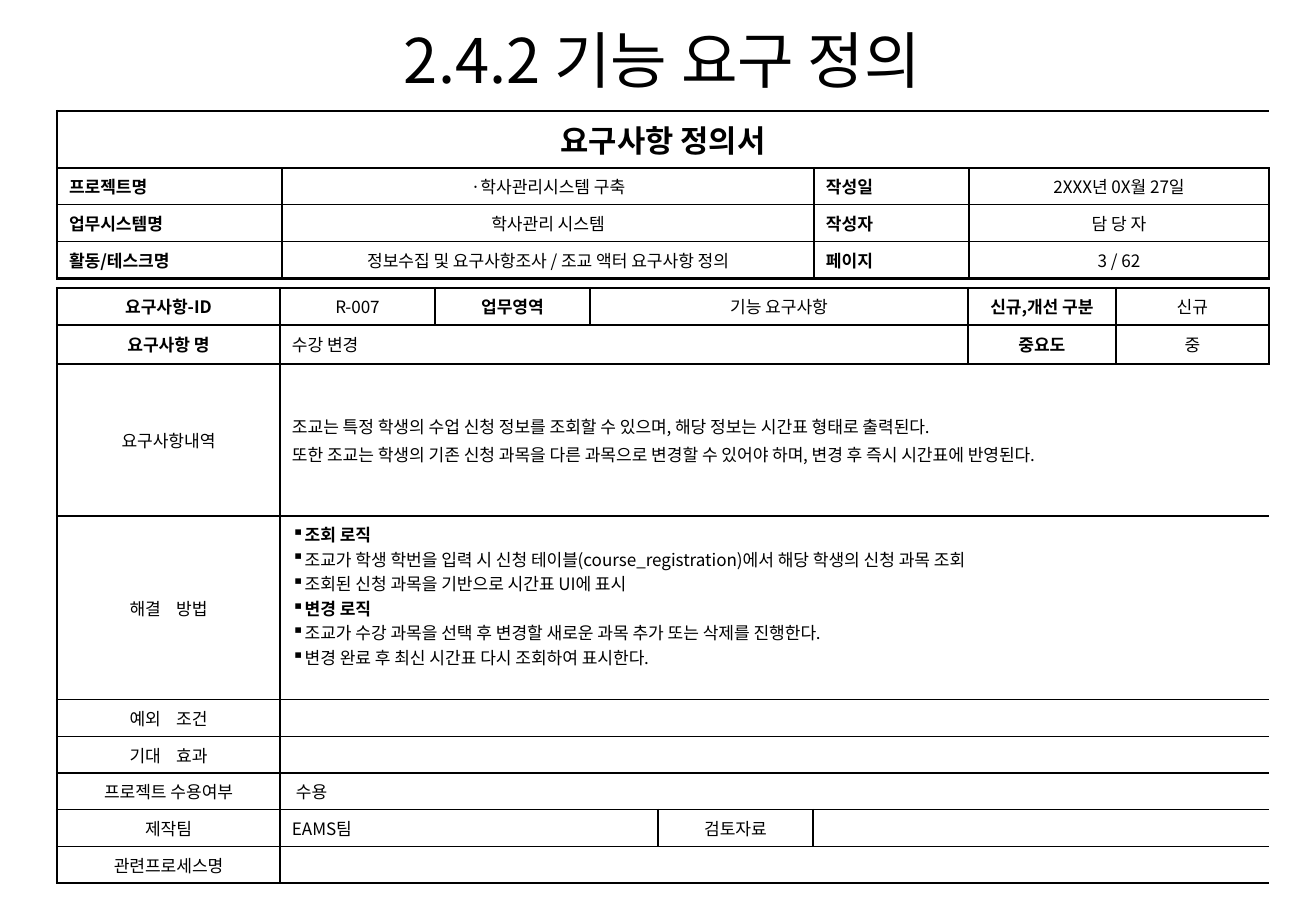
from dataclasses import dataclass

from lxml.etree import SubElement
from pptx import Presentation
from pptx.dml.color import RGBColor
from pptx.enum.text import MSO_ANCHOR, MSO_AUTO_SIZE, PP_ALIGN
from pptx.oxml.ns import qn
from pptx.util import Emu, Pt

EMU_PER_PX = 7440
FONT = "Noto Sans CJK KR"
BLACK = RGBColor(0x00, 0x00, 0x00)
NO_STYLE_NO_GRID = "{2D5ABB26-0587-4C30-8999-92F81FD0307C}"
THIN, THICK = 1, 1.5
CENTER, LEFT, JUSTIFY = PP_ALIGN.CENTER, PP_ALIGN.LEFT, PP_ALIGN.JUSTIFY


@dataclass(frozen=True)
class Entry:
    lines: tuple = ()
    span: int = 1
    align: PP_ALIGN = CENTER
    bold_lines: tuple = ()
    size: int = 10
    bullet: str = ""
    space_before: float = 0
    word_gap: float = 0
    margin_left: int = 12
    margin_bottom: int = 6


@dataclass(frozen=True)
class Form:
    left: int
    top: int
    columns: tuple
    rows: tuple
    thick_edges: tuple
    entries: tuple


def px(length: int) -> Emu:
    return Emu(length * EMU_PER_PX)


def label(text: str, align=CENTER, size=10) -> Entry:
    return Entry((text,), align=align, bold_lines=(0,), size=size)


def value(text: str, span=1, align=CENTER, **options) -> Entry:
    return Entry((text,), span=span, align=align, **options)


def write_text(paragraph, text: str, *, size=10, bold=False, align=CENTER,
               bullet="", space_before=0, line_spacing=None, word_gap=0):
    paragraph.alignment = align
    paragraph.space_before = Pt(space_before)
    if line_spacing:
        paragraph.line_spacing = line_spacing
    if bullet:
        properties = paragraph._p.get_or_add_pPr()
        properties.set("marL", "0")
        properties.set("indent", "0")
        SubElement(properties, qn("a:buChar")).set("char", bullet)
    # A word gap widens the space between two words
    for part in text.partition(" ") if word_gap else (text,):
        run = paragraph.add_run()
        run.text = part
        run.font.size = Pt(size)
        run.font.bold = bold
        run.font.color.rgb = BLACK
        run.font.name = FONT
        properties = run._r.get_or_add_rPr()
        SubElement(properties, qn("a:ea")).set("typeface", FONT)
        if part == " ":
            properties.set("spc", str(int(word_gap * 100)))


def set_border(cell, side: str, width: float):
    line = SubElement(cell._tc.get_or_add_tcPr(), qn(f"a:ln{side}"),
                      w=str(Pt(width)))
    fill = SubElement(line, qn("a:solidFill"))
    SubElement(fill, qn("a:srgbClr")).set("val", str(BLACK))


def fill_cell(cell, entry: Entry):
    cell.vertical_anchor = MSO_ANCHOR.MIDDLE
    cell.margin_left, cell.margin_right = px(entry.margin_left), px(12)
    cell.margin_top, cell.margin_bottom = px(6), px(entry.margin_bottom)
    frame = cell.text_frame
    for index, text in enumerate(entry.lines):
        paragraph = frame.add_paragraph() if index else frame.paragraphs[0]
        write_text(paragraph, text, size=entry.size, align=entry.align,
                   bold=index in entry.bold_lines, bullet=entry.bullet,
                   space_before=entry.space_before if index else 0,
                   word_gap=entry.word_gap)
    if not entry.lines:
        SubElement(frame.paragraphs[0]._p, qn("a:endParaRPr"), sz="1000")


def draw_form(slide, form: Form):
    frame = slide.shapes.add_table(
        len(form.rows), len(form.columns), px(form.left), px(form.top),
        px(sum(form.columns)), px(sum(form.rows)))
    table = frame.table
    table.first_row = table.horz_banding = False
    table._tbl.tblPr.find(qn("a:tableStyleId")).text = NO_STYLE_NO_GRID
    for column, width in zip(table.columns, form.columns):
        column.width = px(width)
    for row, height in zip(table.rows, form.rows):
        row.height = px(height)

    for row, entries in enumerate(form.entries):
        top, bottom = (THICK if edge in form.thick_edges else THIN
                       for edge in (row, row + 1))
        start = 0
        for entry in entries:
            end = start + entry.span
            for column in range(start, end):
                cell = table.cell(row, column)
                if column == start:
                    set_border(cell, "L", THIN if start else THICK)
                if column == end - 1:
                    last = end == len(form.columns)
                    set_border(cell, "R", THICK if last else THIN)
                set_border(cell, "T", top)
                set_border(cell, "B", bottom)
                cell.fill.background()
            origin = table.cell(row, start)
            if entry.span > 1:
                origin.merge(table.cell(row, end - 1))
            fill_cell(origin, entry)
            start = end


PROJECT_FORM = Form(
    57, 111, (225, 532, 155, 300), (57, 36, 37, 37), (0, 4),
    (
        (Entry(("요구사항 정의서",), span=4, bold_lines=(0,), size=18),),
        (label("프로젝트명", JUSTIFY), value("·학사관리시스템 구축"),
         label("작성일", JUSTIFY), value("2XXX년 0X월 27일")),
        (label("업무시스템명", JUSTIFY), value("학사관리 시스템"),
         label("작성자", JUSTIFY), value("담 당 자")),
        (label("활동/테스크명", JUSTIFY),
         value("정보수집 및 요구사항조사 / 조교 액터 요구사항 정의"),
         label("페이지", JUSTIFY), value("3 / 62")),
    ))

REQUIREMENT_FORM = Form(
    57, 288, (223, 155, 155, 68, 155, 155, 148, 153),
    (37, 39, 152, 183, 37, 36, 36, 36, 37), (0, 1, 2, 9),
    (
        (label("요구사항-ID"), value("R-007"), label("업무영역"),
         value("기능 요구사항", 3), label("신규,개선 구분"), value("신규")),
        (label("요구사항 명"), value("수강 변경", 5, LEFT),
         label("중요도"), value("중")),
        (value("요구사항내역"), Entry((
            "조교는 특정 학생의 수업 신청 정보를 조회할 수 있으며, "
            "해당 정보는 시간표 형태로 출력된다.",
            "또한 조교는 학생의 기존 신청 과목을 다른 과목으로 변경할 수 있어야 하며, "
            "변경 후 즉시 시간표에 반영된다.",
        ), span=7, align=LEFT, space_before=2)),
        (value("해결 방법", word_gap=6.7), Entry((
            "조회 로직",
            "조교가 학생 학번을 입력 시 신청 테이블(course_registration)에서 "
            "해당 학생의 신청 과목 조회",
            "조회된 신청 과목을 기반으로 시간표 UI에 표시",
            "변경 로직",
            "조교가 수강 과목을 선택 후 변경할 새로운 과목 추가 또는 삭제를 진행한다.",
            "변경 완료 후 최신 시간표 다시 조회하여 표시한다.",
        ), span=7, align=LEFT, bold_lines=(0, 3), bullet="▪",
            margin_bottom=30)),
        (value("예외 조건", word_gap=6.7), Entry(span=7)),
        (value("기대 효과", word_gap=6.7), Entry(span=7)),
        (value("프로젝트 수용여부"), value("수용", 7, LEFT, margin_left=16)),
        (value("제작팀"), value("EAMS팀", 3, LEFT),
         value("검토자료"), Entry(span=3)),
        (value("관련프로세스명"), Entry(span=7)),
    ))


def main():
    presentation = Presentation()
    presentation.slide_width, presentation.slide_height = px(1316), px(922)
    slide = presentation.slides.add_slide(presentation.slide_layouts[5])

    # Title
    title = slide.shapes.title
    title.left, title.top = px(225), px(9)
    title.width, title.height = px(875), px(177)
    frame = title.text_frame
    frame.word_wrap = True
    frame.auto_size = MSO_AUTO_SIZE.NONE
    frame.vertical_anchor = MSO_ANCHOR.TOP
    write_text(frame.paragraphs[0], "2.4.2 기능 요구 정의", size=36,
               line_spacing=1.1)

    # Project header and requirement details
    for form in (PROJECT_FORM, REQUIREMENT_FORM):
        draw_form(slide, form)

    presentation.save("out.pptx")


if __name__ == "__main__":
    main()
